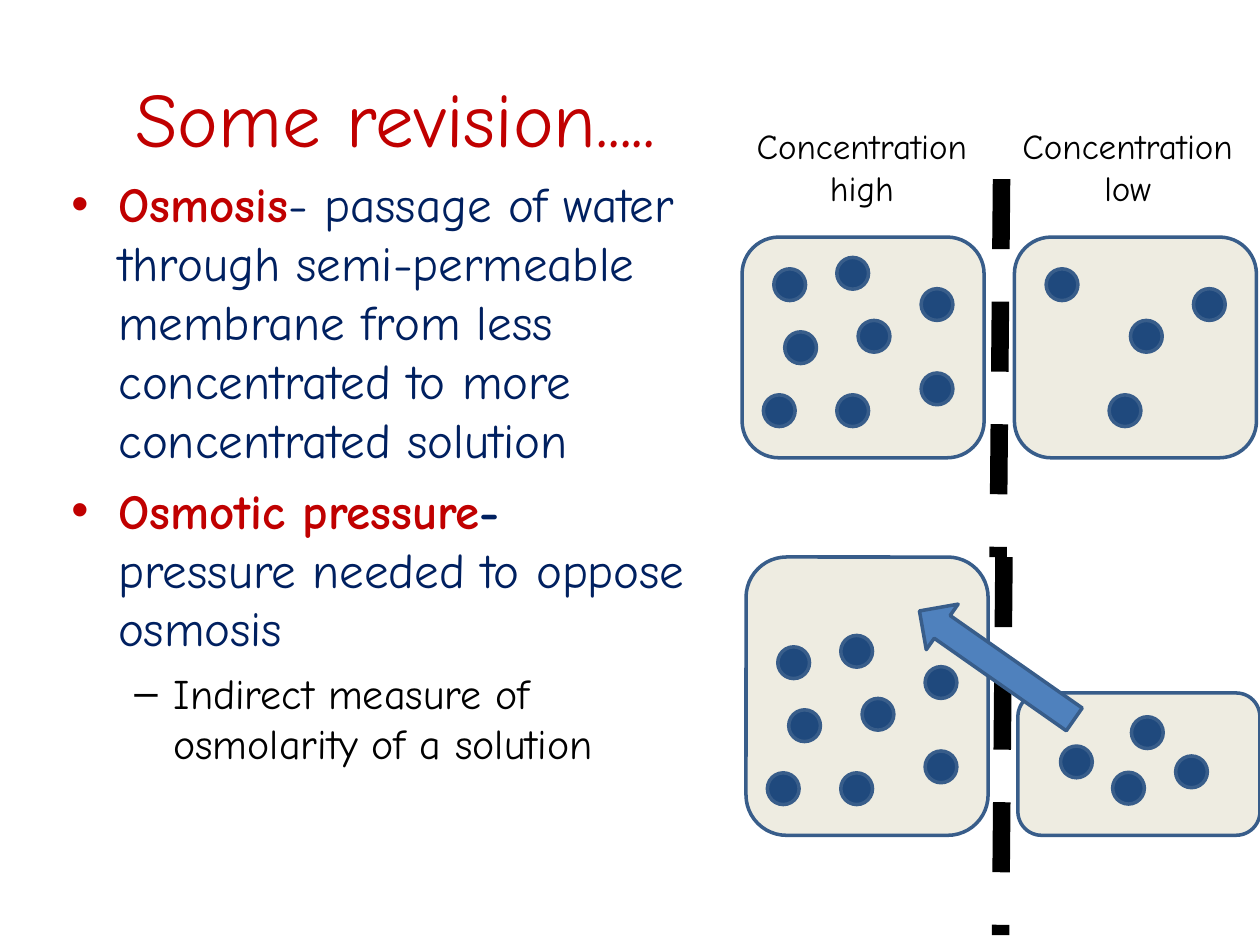
from lxml import etree
from pptx import Presentation
from pptx.dml.color import RGBColor
from pptx.enum.dml import MSO_LINE
from pptx.enum.shapes import MSO_CONNECTOR, MSO_SHAPE
from pptx.enum.text import MSO_ANCHOR, PP_ALIGN
from pptx.oxml.ns import qn
from pptx.util import Cm, Pt

CENTER = PP_ALIGN.CENTER
MIDDLE = MSO_ANCHOR.MIDDLE
DASH = MSO_LINE.DASH
STRAIGHT = MSO_CONNECTOR.STRAIGHT
ROUNDED = MSO_SHAPE.ROUNDED_RECTANGLE
OVAL = MSO_SHAPE.OVAL
LEFT_ARROW = MSO_SHAPE.LEFT_ARROW

FONT = "Comic Neue"
RED, NAVY, BLACK = "C00000", "002060", "000000"
OUTLINE, CREAM, DARK_BLUE, BLUE = "385D8A", "EEECE1", "1F497D", "4F81BD"
DOT_SIZE = 0.64


def color(value):
    return RGBColor.from_string(value)


def add_filled(kind, left, top, width, height, fill):
    shape = slide.shapes.add_shape(kind, Cm(left), Cm(top), Cm(width), Cm(height))
    shape.shadow.inherit = False
    shape.fill.solid()
    shape.fill.fore_color.rgb = color(fill)
    shape.line.color.rgb = color(OUTLINE)
    shape.line.width = Pt(2)
    return shape


presentation = Presentation()
presentation.slide_width = Cm(25.4)
presentation.slide_height = Cm(19.05)
slide = presentation.slides.add_slide(presentation.slide_layouts[5])

title = slide.shapes.title
title.left, title.top, title.width, title.height = Cm(1.27), Cm(0.76), Cm(13.41), Cm(3.18)
title.text_frame.text = "Some revision....."
title.text_frame.vertical_anchor = MIDDLE
paragraph = title.text_frame.paragraphs[0]
paragraph.alignment = CENTER
paragraph.font.name = FONT
paragraph.font.size = Pt(44)
paragraph.font.color.rgb = color(RED)

points = [
    (0, 28, "•", RED, 0.95, -0.95, 0, [
        ("Osmosis", RED, True),
        ("- passage of water through semi-permeable membrane from less "
         "concentrated to more concentrated solution", NAVY, False)]),
    (0, 28, "•", RED, 0.95, -0.95, 7, [
        ("Osmotic pressure", RED, True),
        ("- ", NAVY, True),
        ("pressure needed to oppose osmosis", NAVY, False)]),
    (1, 24, "–", BLACK, 2.06, -0.79, 6, [
        ("Indirect measure of osmolarity of a solution", BLACK, False)]),
]
body = slide.shapes.add_textbox(Cm(1.19), Cm(3.38), Cm(12.9), Cm(12.57)).text_frame
body.word_wrap = True
for index, (level, size, bullet, bullet_color, margin, indent, before, runs) in enumerate(points):
    paragraph = body.add_paragraph() if index else body.paragraphs[0]
    paragraph.level = level
    properties = paragraph._p.get_or_add_pPr()
    properties.set("marL", str(Cm(margin)))
    properties.set("indent", str(Cm(indent)))
    bullet_fill = etree.SubElement(properties, qn("a:buClr"))
    etree.SubElement(bullet_fill, qn("a:srgbClr"), val=bullet_color)
    etree.SubElement(properties, qn("a:buFont"), typeface="Arial")
    etree.SubElement(properties, qn("a:buChar"), char=bullet)
    paragraph.space_before = Pt(before)
    paragraph.font.name = FONT
    paragraph.font.size = Pt(size)
    for text, text_color, bold in runs:
        run = paragraph.add_run()
        run.text = text
        run.font.bold = bold
        run.font.color.rgb = color(text_color)

sparse_dots = [(0.64, 0.64), (2.34, 1.68), (1.91, 3.18), (3.61, 1.04)]
dense_dots = sparse_dots + [(0.86, 1.91), (1.91, 0.41), (3.61, 2.74), (0.43, 3.18)]
squeezed_dots = [(0.86, 1.07), (2.29, 0.48), (1.91, 1.6), (3.18, 1.27)]
rows = [
    ([(14.96, 4.78, 4.45, 0, dense_dots), (20.45, 4.78, 4.45, 0, sparse_dots)],
     (20.19, 3.61, 20.12, 11.23)),
    ([(15.04, 11.23, 5.61, 1.17, dense_dots), (20.52, 13.97, 2.87, 0, squeezed_dots)],
     (20.24, 11.23, 20.17, 18.85)),
]
for compartments, membrane_ends in rows:
    for left, top, height, dot_drop, dots in compartments:
        compartment = add_filled(ROUNDED, left, top, 4.88, height, CREAM)
        compartment.adjustments[0] = 0.167
        for x, y in dots:
            add_filled(OVAL, left + x, top + dot_drop + y, DOT_SIZE, DOT_SIZE, DARK_BLUE)
    membrane = slide.shapes.add_connector(STRAIGHT, *[Cm(value) for value in membrane_ends])
    membrane.line.color.rgb = color(BLACK)
    membrane.line.width = Pt(10)
    membrane.line.dash_style = DASH
    etree.SubElement(membrane._element.spPr, qn("a:effectLst"))

arrow = add_filled(LEFT_ARROW, 18.19, 12.85, 3.81, 1.12, BLUE)
arrow.rotation = 35

for left, level_name in [(14.1, "high"), (19.46, "low")]:
    label = slide.shapes.add_textbox(Cm(left), Cm(2.39), Cm(6.55), Cm(1.96)).text_frame
    label.word_wrap = True
    label.text = f"Concentration\n{level_name}"
    for paragraph in label.paragraphs:
        paragraph.alignment = CENTER
        paragraph.font.name = FONT
        paragraph.font.size = Pt(20)
        paragraph.font.color.rgb = color(BLACK)

presentation.save("out.pptx")
